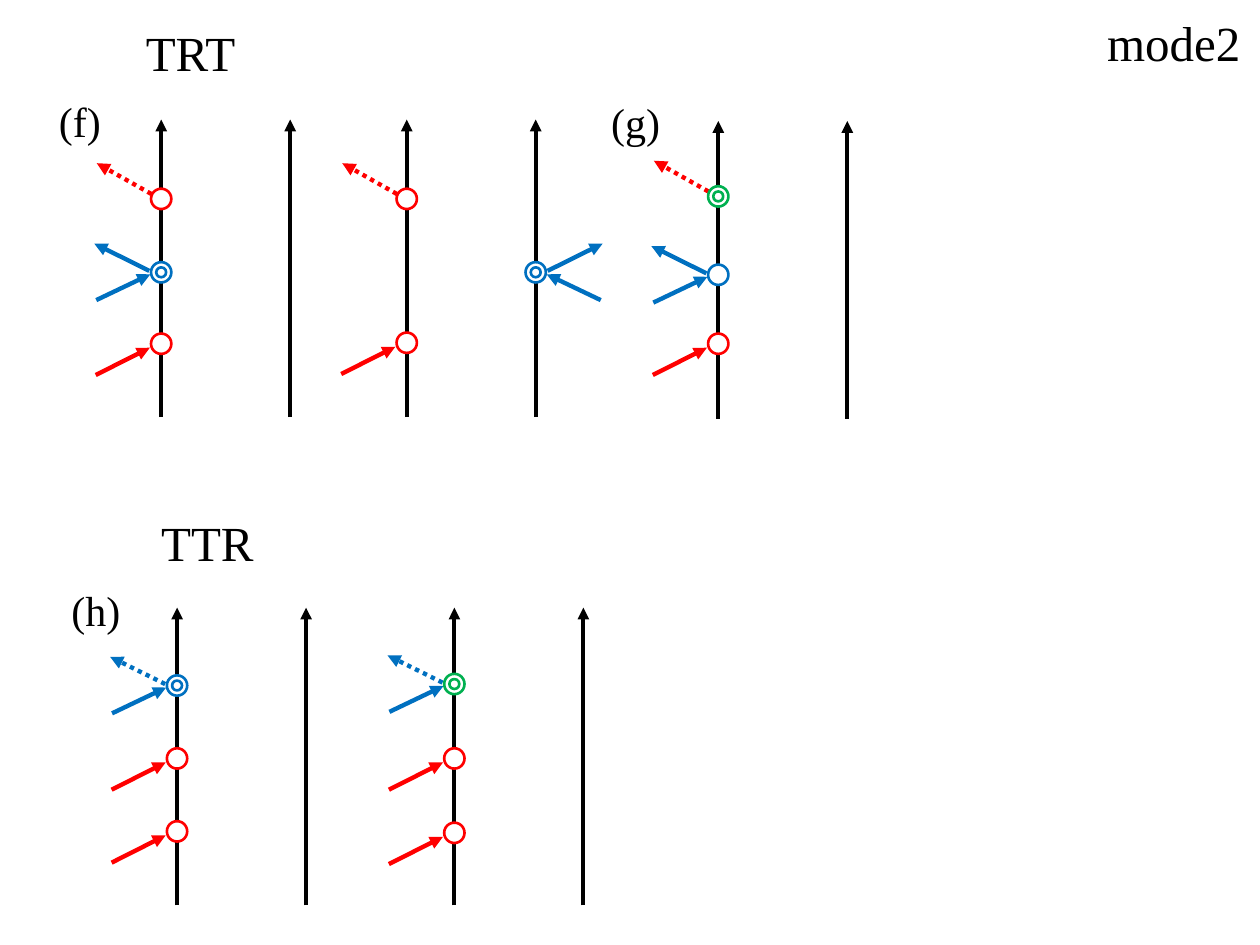
from lxml.etree import SubElement
from pptx import Presentation
from pptx.dml.color import RGBColor
from pptx.enum.dml import MSO_LINE
from pptx.enum.shapes import MSO_CONNECTOR, MSO_SHAPE
from pptx.enum.text import MSO_AUTO_SIZE
from pptx.oxml.ns import qn
from pptx.util import Cm, Pt

COLORS = {"black": "000000", "white": "FFFFFF", "red": "FF0000",
          "blue": "0070C0", "green": "00B050"}
FONT = "Times New Roman"

# text, left, top, width, height, size
LABELS = [
    ("TRT", 2.69, 0.33, 2.34, 1.45, 28),
    ("TTR", 3.0, 10.21, 2.39, 1.45, 28),
    ("mode2", 22.07, 0.13, 3.23, 1.45, 28),
    ("(f)", 0.94, 1.8, 1.37, 1.27, 24),
    ("(g)", 12.07, 1.83, 1.5, 1.27, 24),
    ("(h)", 1.19, 11.66, 1.5, 1.27, 24),
]

AXIS_LENGTH = 6.0
AXIS_GAP = 2.6
RING = 0.41
INNER_RING = 0.2

# Arrow ends relative to the vertex, for arrows on its left: start, end, dotted
ARROWS = {
    ("red", "in"): ((-1.32, 0.63), (-0.23, 0.08), False),
    ("red", "emit"): ((-0.2, -0.1), (-1.3, -0.72), True),
    ("blue", "in"): ((-1.31, 0.56), (-0.22, 0.04), False),
    ("blue", "out"): ((-0.24, -0.03), (-1.35, -0.58), False),
    ("blue", "emit"): ((-0.24, -0.03), (-1.35, -0.58), True),
}

# Each diagram: x of left axis, top of axes, and its vertices as
# (axis number, y, ring colour, double ring, arrow colour, arrow kinds)
DIAGRAMS = [
    (3.25, 2.41, [
        (0, 4.01, "red", False, "red", ["emit"]),
        (0, 5.49, "blue", True, "blue", ["in", "out"]),
        (0, 6.93, "red", False, "red", ["in"])]),
    (8.2, 2.41, [
        (0, 4.01, "red", False, "red", ["emit"]),
        (1, 5.49, "blue", True, "blue", ["in", "out"]),
        (0, 6.91, "red", False, "red", ["in"])]),
    (14.48, 2.44, [
        (0, 3.96, "green", True, "red", ["emit"]),
        (0, 5.54, "blue", False, "blue", ["in", "out"]),
        (0, 6.93, "red", False, "red", ["in"])]),
    (3.57, 12.25, [
        (0, 13.82, "blue", True, "blue", ["in", "emit"]),
        (0, 15.29, "red", False, "red", ["in"]),
        (0, 16.76, "red", False, "red", ["in"])]),
    (9.16, 12.25, [
        (0, 13.79, "green", True, "blue", ["in", "emit"]),
        (0, 15.29, "red", False, "red", ["in"]),
        (0, 16.79, "red", False, "red", ["in"])]),
]


def rgb(color):
    return RGBColor.from_string(COLORS[color])


def add_text(slide, text, left, top, width, height, *, size, color="black"):
    box = slide.shapes.add_textbox(Cm(left), Cm(top), Cm(width), Cm(height))
    frame = box.text_frame
    frame.word_wrap = False
    frame.auto_size = MSO_AUTO_SIZE.SHAPE_TO_FIT_TEXT
    run = frame.paragraphs[0].add_run()
    run.text = text
    run.font.name = FONT
    run.font.size = Pt(size)
    run.font.color.rgb = rgb(color)


def add_arrow(slide, start, end, *, color, width, dotted=False):
    arrow = slide.shapes.add_connector(
        MSO_CONNECTOR.STRAIGHT, *(Cm(value) for value in (*start, *end)))
    arrow.line.color.rgb = rgb(color)
    arrow.line.width = Pt(width)
    if dotted:
        arrow.line.dash_style = MSO_LINE.ROUND_DOT
    SubElement(arrow.line._get_or_add_ln(), qn("a:tailEnd"), type="triangle")
    SubElement(arrow._element.spPr, qn("a:effectLst"))


def add_ring(slide, x, y, diameter, color):
    """Draw a white circle centred on (x, y)."""
    ring = slide.shapes.add_shape(
        MSO_SHAPE.OVAL, Cm(x - diameter / 2), Cm(y - diameter / 2),
        Cm(diameter), Cm(diameter))
    ring.shadow.inherit = False
    ring.fill.solid()
    ring.fill.fore_color.rgb = rgb("white")
    ring.line.color.rgb = rgb(color)
    ring.line.width = Pt(1.5)


def add_vertex(slide, x, y, ring_color, double, arrow_color, kinds, side):
    """Draw a vertex with its arrows; side is 1 for left and -1 for right."""
    for kind in kinds:
        start, end, dotted = ARROWS[arrow_color, kind]
        ends = [(x + side * dx, y + dy) for dx, dy in (start, end)]
        add_arrow(slide, *ends, color=arrow_color, width=2.5, dotted=dotted)
    for diameter in (RING, INNER_RING) if double else (RING,):
        add_ring(slide, x, y, diameter, ring_color)


def add_diagram(slide, left, top, vertices):
    axes = [left, left + AXIS_GAP]
    for x in axes:
        add_arrow(slide, (x, top + AXIS_LENGTH), (x, top),
                  color="black", width=2.25)
    for axis, y, *style in vertices:
        add_vertex(slide, axes[axis], y, *style, side=-1 if axis else 1)


def main():
    deck = Presentation()
    deck.slide_width, deck.slide_height = Cm(25.4), Cm(19.05)
    slide = deck.slides.add_slide(deck.slide_layouts[6])
    for text, left, top, width, height, size in LABELS:
        add_text(slide, text, left, top, width, height, size=size)
    for diagram in DIAGRAMS:
        add_diagram(slide, *diagram)
    deck.save("out.pptx")


if __name__ == "__main__":
    main()
